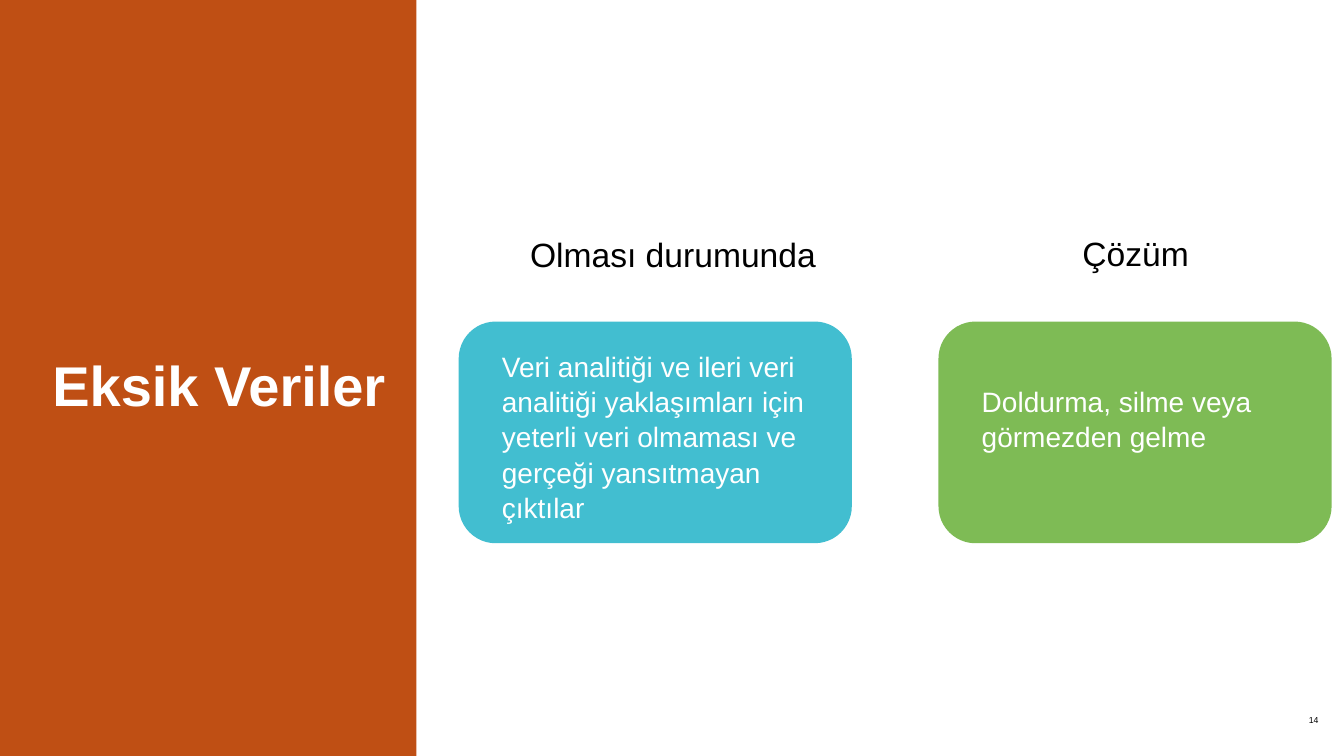
from pptx import Presentation
from pptx.dml.color import RGBColor
from pptx.enum.shapes import MSO_SHAPE
from pptx.enum.text import MSO_ANCHOR, PP_ALIGN
from pptx.util import Inches, Pt

RECTANGLE, ROUNDED = MSO_SHAPE.RECTANGLE, MSO_SHAPE.ROUNDED_RECTANGLE
TOP, MIDDLE = MSO_ANCHOR.TOP, MSO_ANCHOR.MIDDLE
LEFT, RIGHT = PP_ALIGN.LEFT, PP_ALIGN.RIGHT

RUST = RGBColor(0xBF, 0x4F, 0x14)
TEAL = RGBColor(0x42, 0xBE, 0xD0)
GREEN = RGBColor(0x7E, 0xBB, 0x55)
WHITE = RGBColor(0xFF, 0xFF, 0xFF)
BLACK = RGBColor(0x00, 0x00, 0x00)

# Areas are (left, top, width, height) in percent of the slide's size.
CARD_LEFT, CARD_PITCH, CARD_PADDING = 34.13, 35.7, 2.48
CARDS = [
    ("Olması durumunda", (38.7, 30, 24.3, 6.67), TEAL,
     "Veri analitiği ve ileri veri analitiği yaklaşımları için "
     "yeterli veri olmaması ve gerçeği yansıtmayan çıktılar", 45.33, 23.73),
    ("Çözüm", (79.8, 29.87, 20.2, 6.67), GREEN,
     "Doldurma, silme veya görmezden gelme", 50, 10.27),
]


class SlideBuilder:
    font_name = "Arial"
    line_spacing = 1.05

    def __init__(self, deck):
        self.deck = deck
        self.slide = deck.slides.add_slide(deck.slide_layouts[6])

    def place(self, area):
        """Turn percentages of the slide into lengths."""
        sizes = (self.deck.slide_width, self.deck.slide_height) * 2
        return [round(share * size / 100) for share, size in zip(area, sizes)]

    def block(self, kind, area, color):
        shape = self.slide.shapes.add_shape(kind, *self.place(area))
        shape.shadow.inherit = False
        shape.fill.solid()
        shape.fill.fore_color.rgb = color
        shape.line.fill.background()
        return shape

    def text(self, words, area, size, color=BLACK, bold=False,
             align=LEFT, anchor=TOP, inset=(0.1, 0.05)):
        frame = self.slide.shapes.add_textbox(*self.place(area)).text_frame
        frame.word_wrap = True
        frame.vertical_anchor = anchor
        frame.margin_left = frame.margin_right = Inches(inset[0])
        frame.margin_top = frame.margin_bottom = Inches(inset[1])
        para = frame.paragraphs[0]
        para.alignment = align
        para.line_spacing = self.line_spacing
        span = para.add_run()
        span.text = words
        span.font.name = self.font_name
        span.font.size = Pt(size)
        span.font.bold = bold
        span.font.color.rgb = color


def main():
    deck = Presentation()
    deck.slide_width, deck.slide_height = Inches(13.33), Inches(7.5)
    page = SlideBuilder(deck)

    page.block(RECTANGLE, (0, -0.4, 30.98, 101.47), RUST)
    page.text("Eksik Veriler", (2.92, 44.13, 28.12, 12.53), 40, WHITE,
              bold=True, inset=(0.13, 0.13))
    page.text("14", (93.08, 91.47, 6, 7.6), 6.2, align=RIGHT,
              anchor=MIDDLE, inset=(0.13, 0.13))

    for index, (heading, heading_area, color, body, top, height) in enumerate(CARDS):
        left = CARD_LEFT + index * CARD_PITCH
        page.text(heading, heading_area, 24)
        card = page.block(ROUNDED, (left, 42.53, 29.25, 29.33), color)
        card.adjustments[0] = 0.167
        page.text(body, (left + CARD_PADDING, top, 24.3, height), 20, WHITE)

    deck.save("out.pptx")


if __name__ == "__main__":
    main()
